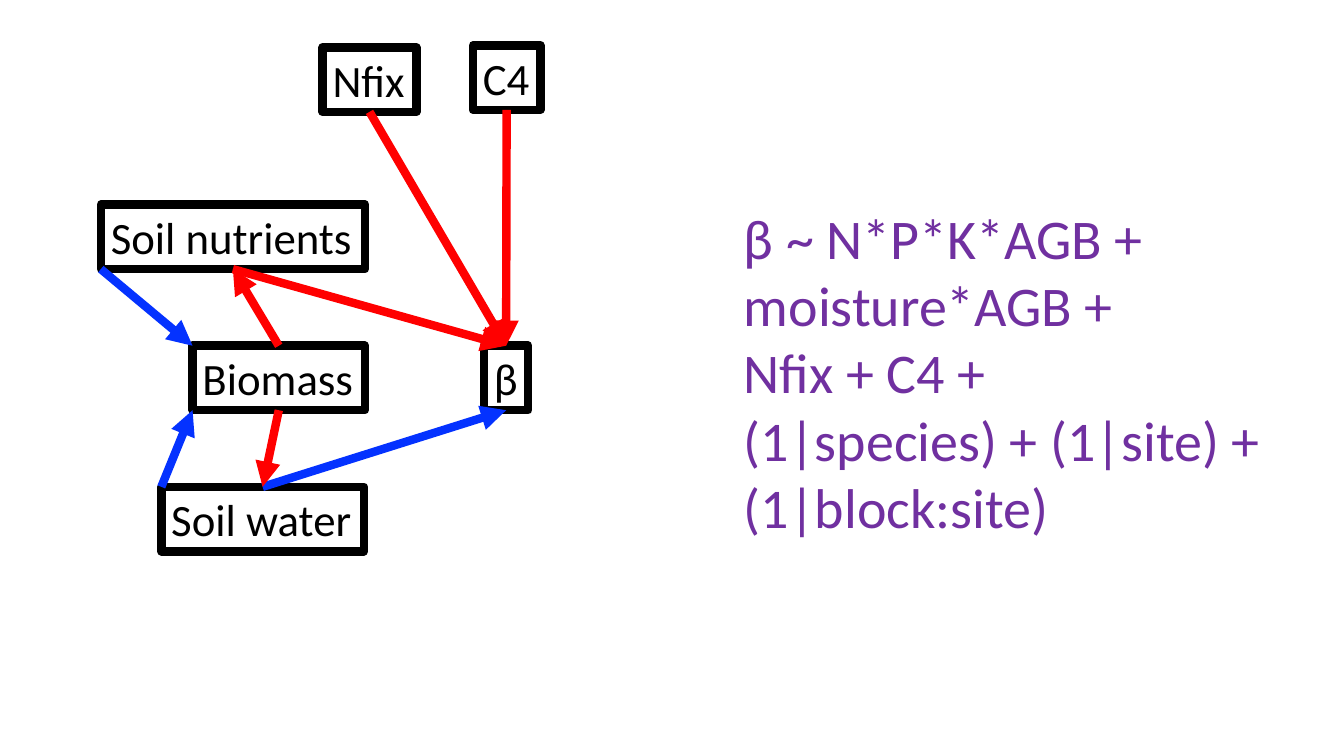
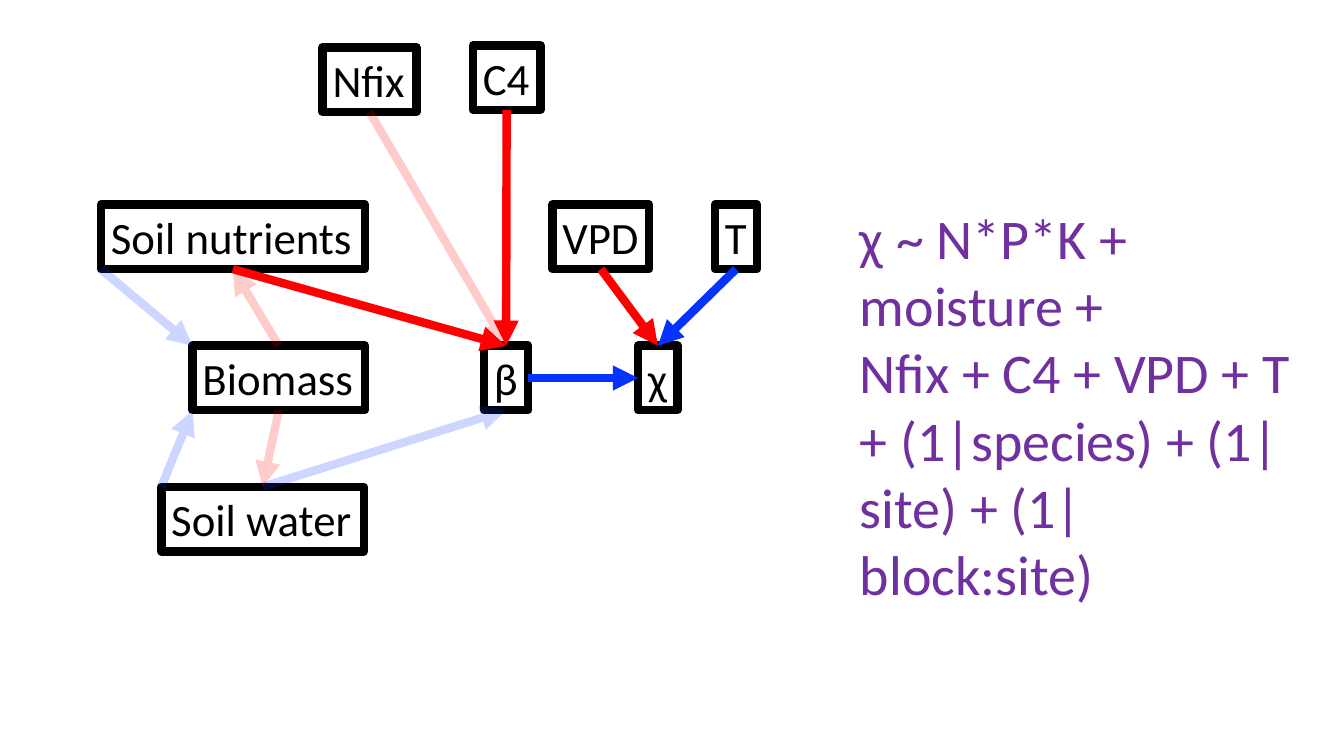
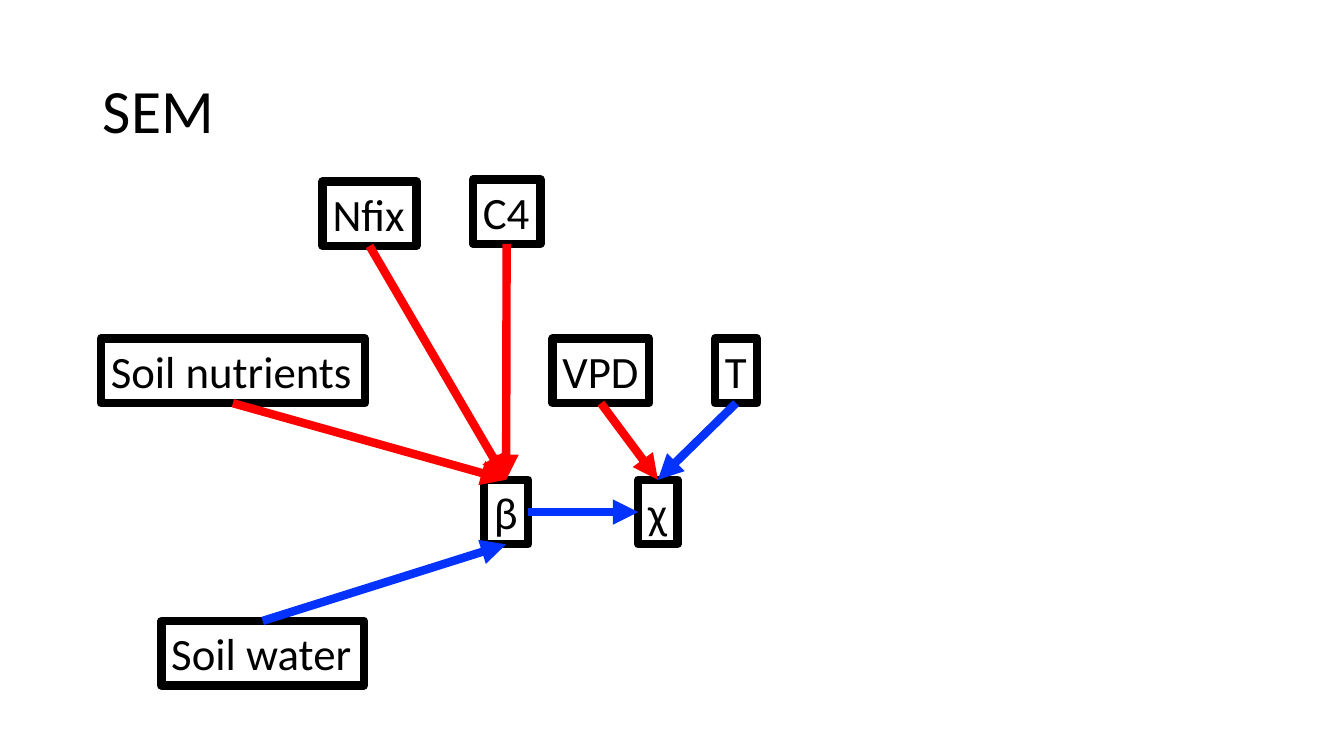
from dataclasses import dataclass
from typing import Any

import pptx
import pptx.dml.color
import pptx.enum.shapes
import pptx.enum.text
import pptx.oxml
import pptx.oxml.ns
import pptx.util

Inches = pptx.util.Inches
Pt = pptx.util.Pt
RGB = pptx.dml.color.RGBColor
qn = pptx.oxml.ns.qn
Fit = pptx.enum.text.MSO_AUTO_SIZE


@dataclass(frozen=True)
class Theme:
    font: str = "Calibri"
    ink: str = "000000"
    model: str = "7030A0"
    red: str = "FF0000"
    blue: str = "0432FF"
    head: int = 44
    text: int = 40
    label: int = 32
    line: int = 6
    fade: int = 20


@dataclass(frozen=True)
class Node:
    name: str
    left: float
    top: float
    width: float
    height: float = 0.64


@dataclass(frozen=True)
class Edge:
    start: str
    out: str
    end: str
    into: str
    tint: str
    pale: bool = False


@dataclass(frozen=True)
class Port:
    x: float
    y: float
    site: int | None = None


@dataclass(frozen=True)
class Model:
    left: float
    width: float
    height: float
    lines: tuple[str, ...]


@dataclass(frozen=True)
class Page:
    skip: tuple[str, ...] = ()
    model: Model | None = None
    title: str = ""
    shift: float = 0
    fade: bool = False


THEME = Theme()

PORTS = {
    "top": Port(0.5, 0, 0),
    "left": Port(0, 0.5, 1),
    "base": Port(0.5, 1, 2),
    "right": Port(1, 0.5, 3),
    "top left": Port(0, 0),
    "base left": Port(0, 1),
}

NODES = (
    Node("Soil nutrients", 1, 2.03, 2.62),
    Node("β", 4.8, 3.43, 0.44),
    Node("Soil water", 1.6, 4.83, 2.01),
    Node("χ", 6.33, 3.43, 0.39),
    Node("VPD", 5.48, 2.03, 0.96),
    Node("T", 7.09, 2.03, 0.42),
    Node("Nfix", 3.2, 0.47, 0.93),
    Node("C4", 4.69, 0.45, 0.67),
    Node("Biomass", 1.91, 3.43, 1.71),
)

EDGES = (
    Edge("Soil nutrients", "base", "β", "top", THEME.red),
    Edge("Soil water", "top", "β", "base", THEME.blue, True),
    Edge("β", "right", "χ", "left", THEME.blue),
    Edge("VPD", "base", "χ", "top", THEME.red),
    Edge("T", "base", "χ", "top", THEME.blue),
    Edge("Nfix", "base", "β", "top", THEME.red, True),
    Edge("C4", "base", "β", "top", THEME.red),
    Edge("Biomass", "top", "Soil nutrients", "base", THEME.red, True),
    Edge("Biomass", "base", "Soil water", "top", THEME.red, True),
    Edge("Soil water", "top left", "Biomass", "base left", THEME.blue, True),
    Edge("Soil nutrients", "base left", "Biomass", "top left", THEME.blue, True),
)

PAGES = (
    Page(
        skip=("χ", "VPD", "T"),
        model=Model(7.28, 5.66, 3.47, (
            "β ~ N*P*K*AGB + moisture*AGB +",
            "Nfix + C4 +",
            "(1|species) + (1|site) + (1|block:site)",
        )),
    ),
    Page(
        model=Model(8.43, 4.51, 4.14, (
            "χ ~ N*P*K + moisture +",
            "Nfix + C4 + VPD + T + (1|species) + (1|site) + (1|block:site)",
        )),
        fade=True,
    ),
    Page(skip=("Biomass",), title="SEM", shift=1.33),
)


def style(item: Any, looks: dict[str, Any]) -> None:
    for key, value in looks.items():
        setattr(item, key, value)


def write(frame: Any, lines: tuple[str, ...], size: int, tint: str) -> None:
    frame.text = "\n".join(lines)
    for para in frame.paragraphs:
        for run in para.runs:
            style(run.font, {"name": THEME.font, "size": Pt(size)})
            run.font.color.rgb = RGB.from_string(tint)


def ink(line: Any, tint: str) -> None:
    line.color.rgb = RGB.from_string(tint)
    line.width = Pt(THEME.line)


def add_node(slide: Any, node: Node, shift: float) -> Any:
    box = slide.shapes.add_textbox(
        Inches(node.left), Inches(node.top + shift), Inches(node.width), Inches(node.height)
    )
    write(box.text_frame, (node.name,), THEME.label, THEME.ink)
    style(box.text_frame, {"word_wrap": False, "auto_size": Fit.SHAPE_TO_FIT_TEXT})
    ink(box.line, THEME.ink)
    return box


def spot(box: Any, port: Port) -> tuple[int, int]:
    return int(box.left + box.width * port.x), int(box.top + box.height * port.y)


def add_edge(slide: Any, edge: Edge, boxes: dict[str, Any], fade: bool) -> None:
    start, end = boxes[edge.start], boxes[edge.end]
    out, into = PORTS[edge.out], PORTS[edge.into]
    arrow = slide.shapes.add_connector(
        pptx.enum.shapes.MSO_CONNECTOR.STRAIGHT, *spot(start, out), *spot(end, into)
    )
    if out.site is not None:
        arrow.begin_connect(start, out.site)
    if into.site is not None:
        arrow.end_connect(end, into.site)
    ink(arrow.line, edge.tint)
    props = arrow.element.spPr
    line = props.find(qn("a:ln"))
    if fade and edge.pale:
        alpha = pptx.oxml.ns.qn("a:alpha")
        color = line.find(".//" + qn("a:srgbClr"))
        color.append(color.makeelement(alpha, {"val": str(THEME.fade * 1000)}))
    line.append(line.makeelement(qn("a:tailEnd"), {"type": "triangle"}))
    props.append(props.makeelement(qn("a:effectLst"), {}))


def add_model(slide: Any, model: Model) -> None:
    box = slide.shapes.add_textbox(
        Inches(model.left), Inches(1.97), Inches(model.width), Inches(model.height)
    )
    write(box.text_frame, model.lines, THEME.text, THEME.model)
    style(box.text_frame, {"word_wrap": True, "auto_size": Fit.SHAPE_TO_FIT_TEXT})


def add_title(slide: Any, text: str) -> None:
    title = slide.shapes.title
    style(title, {
        "left": Inches(0.92), "top": Inches(0.4),
        "width": Inches(11.5), "height": Inches(1.45),
    })
    write(title.text_frame, (text,), THEME.head, THEME.ink)
    style(title.text_frame, {
        "vertical_anchor": pptx.enum.text.MSO_ANCHOR.MIDDLE, "auto_size": Fit.NONE,
    })
    style(title.text_frame.paragraphs[0], {
        "alignment": pptx.enum.text.PP_ALIGN.LEFT, "line_spacing": 0.9,
    })


def add_page(deck: Any, page: Page) -> None:
    slide = deck.slides.add_slide(deck.slide_layouts[5 if page.title else 6])
    if page.title:
        add_title(slide, page.title)
    if page.model:
        add_model(slide, page.model)
    boxes = {
        node.name: add_node(slide, node, page.shift)
        for node in NODES if node.name not in page.skip
    }
    for edge in EDGES:
        if edge.start in boxes and edge.end in boxes:
            add_edge(slide, edge, boxes, page.fade)


def main() -> None:
    deck = pptx.Presentation()
    style(deck, {"slide_width": Inches(13.33), "slide_height": Inches(7.5)})
    for page in PAGES:
        add_page(deck, page)
    deck.save("out.pptx")


if __name__ == "__main__":
    main()
